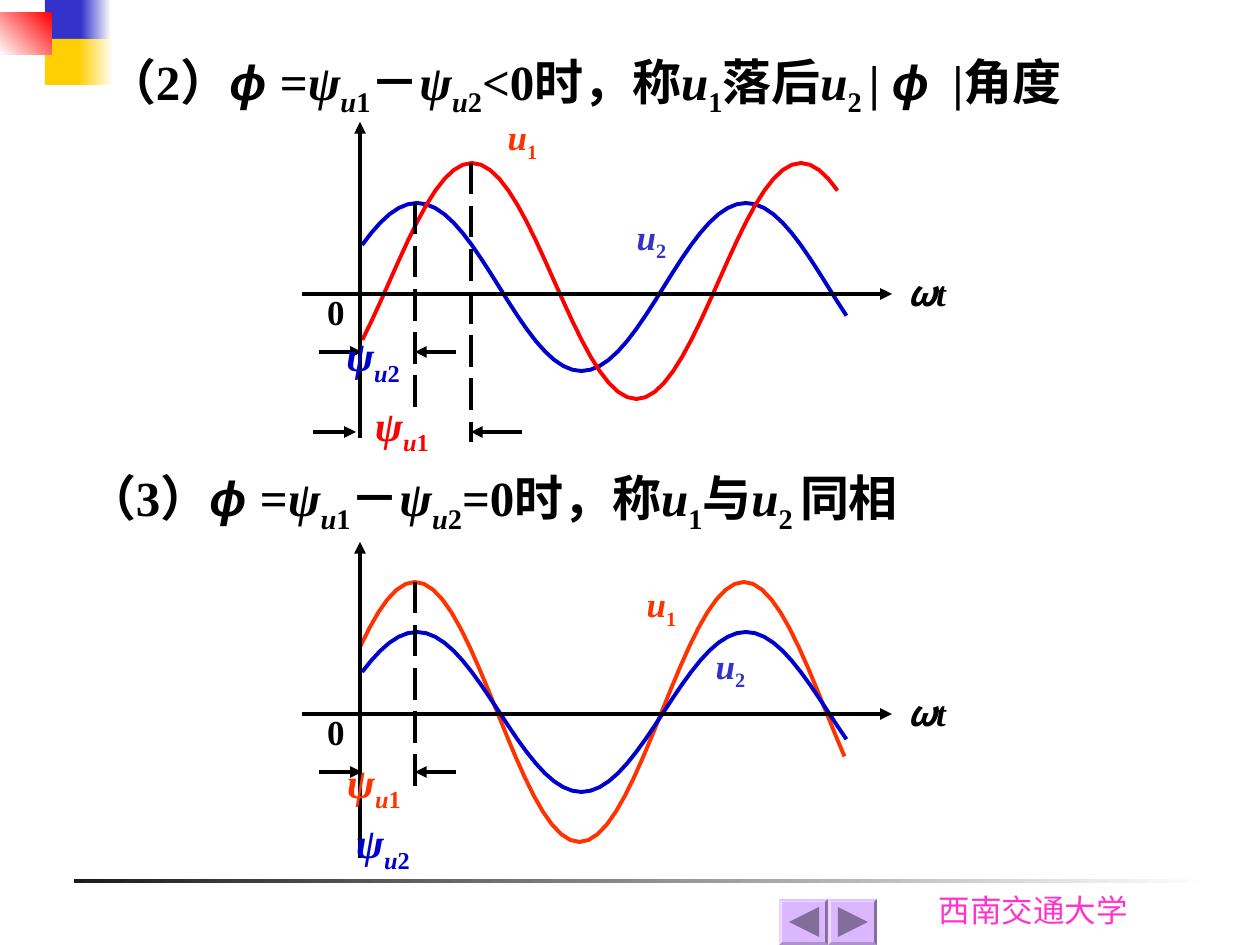
import math
from typing import NamedTuple, Optional

import pptx
import pptx.dml.color
import pptx.enum.dml
import pptx.enum.shapes
import pptx.enum.text
import pptx.oxml
import pptx.oxml.ns
import pptx.util

RGBColor = pptx.dml.color.RGBColor
MSO_SHAPE = pptx.enum.shapes.MSO_SHAPE
PP_ALIGN = pptx.enum.text.PP_ALIGN

PX = 914400 // 126
BLACK = RGBColor(0x00, 0x00, 0x00)
WHITE = RGBColor(0xFF, 0xFF, 0xFF)
CHARCOAL = RGBColor(0x1C, 0x1C, 0x1C)
RED = RGBColor(0xFF, 0x00, 0x00)
ORANGE = RGBColor(0xFF, 0x33, 0x00)
BLUE = RGBColor(0x00, 0x00, 0xCC)
INDIGO = RGBColor(0x33, 0x33, 0xCC)
YELLOW = RGBColor(0xFF, 0xCF, 0x01)
PINK = RGBColor(0xFF, 0x33, 0xCC)
LILAC = RGBColor(0xDB, 0xB7, 0xFF)
PLUM = RGBColor(0x83, 0x6E, 0x99)

SERIF = "Times New Roman"
CJK = "Noto Sans CJK SC"
PERIOD = 329  # px per full cycle
STEP = 10  # degrees between curve points
DIAGRAM_SHIFT = 420  # px from the first diagram to the second


class Box(NamedTuple):
    left: int
    top: int
    width: int
    height: int


class Run(NamedTuple):
    text: str
    italic: bool = False
    sub: bool = False
    font: str = SERIF
    bold: bool = True
    size: Optional[int] = None


class Wave(NamedTuple):
    color: RGBColor
    peak: int
    middle: int
    amplitude: int
    first_degree: int
    last_degree: int


class Segment(NamedTuple):
    x1: int
    y1: int
    x2: int
    y2: int
    arrow: bool = False
    dashed: bool = False


class Label(NamedTuple):
    box: Box
    runs: list[Run]
    color: RGBColor
    size: int = 20
    align: PP_ALIGN = PP_ALIGN.CENTER
    inset: tuple[int, int] = (1, 1)


def emu(*lengths: float) -> list[int]:
    return [round(length * PX) for length in lengths]


def voltage(index: str) -> list[Run]:
    return [Run("u", italic=True), Run(index, sub=True)]


def phase(index: str) -> list[Run]:
    return [Run("ψ", italic=True), Run("u", italic=True, sub=True), Run(index, sub=True)]


def condition(number: str, relation: str, link: str, ending: list[Run]) -> list[Run]:
    return [Run(f"（{number}）"), Run("ϕ ", italic=True, font="Arial"), Run("="),
            *phase("1"), Run("－"), *phase("2"), Run(f"{relation}0时，称"),
            *voltage("1"), Run(link), *voltage("2 "), *ending]


def fill_text(holder, label: Label) -> None:
    frame = holder.text_frame
    frame.word_wrap = True
    frame.auto_size = pptx.enum.text.MSO_AUTO_SIZE.NONE
    frame.vertical_anchor = pptx.enum.text.MSO_ANCHOR.TOP
    across, down = emu(*label.inset)
    frame.margin_left = frame.margin_right = across
    frame.margin_top = frame.margin_bottom = down
    paragraph = frame.paragraphs[0]
    paragraph.alignment = label.align
    for part in label.runs:
        run = paragraph.add_run()
        run.text = part.text
        font = run.font
        font.name, font.size = part.font, pptx.util.Pt(part.size or label.size)
        font.bold, font.italic = part.bold, part.italic
        font.color.rgb = label.color
        properties = run._r.get_or_add_rPr()
        if part.sub:
            properties.set("baseline", "-25000")
        east_asian = pptx.oxml.parse_xml(
            f'<a:ea {pptx.oxml.ns.nsdecls("a")} typeface="{CJK}"/>')
        properties.append(east_asian)


def add_label(slide, label: Label) -> None:
    fill_text(slide.shapes.add_textbox(*emu(*label.box)), label)


def add_block(slide, box: Box, color: RGBColor, end: Optional[RGBColor] = None,
              angle: int = 0, kind=MSO_SHAPE.RECTANGLE, rotation: int = 0):
    block = slide.shapes.add_shape(kind, *emu(*box))
    block.shadow.inherit = False
    block.line.fill.background()
    block.rotation = rotation
    if end is None:
        block.fill.solid()
        block.fill.fore_color.rgb = color
    else:
        block.fill.gradient()
        block.fill.gradient_angle = angle
        for stop, shade in zip(block.fill.gradient_stops, (color, end)):
            stop.color.rgb = shade
    return block


def add_segment(slide, segment: Segment, shift: int = 0) -> None:
    ends = emu(segment.x1, segment.y1 + shift, segment.x2, segment.y2 + shift)
    line = slide.shapes.add_connector(pptx.enum.shapes.MSO_CONNECTOR.STRAIGHT, *ends)
    line.line.color.rgb = BLACK
    line.line.width = pptx.util.Pt(2.25)
    if segment.dashed:
        line.line.dash_style = pptx.enum.dml.MSO_LINE.LONG_DASH
    namespace = pptx.oxml.ns.nsdecls("a")
    if segment.arrow:
        line.line._get_or_add_ln().append(
            pptx.oxml.parse_xml(f'<a:tailEnd {namespace} type="triangle"/>'))
    line._element.spPr.append(pptx.oxml.parse_xml(f"<a:effectLst {namespace}/>"))


def add_wave(slide, wave: Wave) -> None:
    points = [emu(wave.peak + PERIOD * degree / 360,
                  wave.middle - wave.amplitude * math.cos(math.radians(degree)))
              for degree in range(wave.first_degree, wave.last_degree + 1, STEP)]
    builder = slide.shapes.build_freeform(*points[0])
    builder.add_line_segments(points[1:], close=False)
    curve = builder.convert_to_shape()
    curve.shadow.inherit = False
    curve.fill.background()
    curve.line.color.rgb = wave.color
    curve.line.width = pptx.util.Pt(2.25)


def add_axes(slide, shift: int) -> None:
    for segment in (Segment(302, 294, 892, 294, arrow=True),
                    Segment(360, 438, 360, 122, arrow=True),
                    Segment(319, 352, 362, 352, arrow=True),
                    Segment(456, 352, 415, 352, arrow=True)):
        add_segment(slide, segment, shift)
    add_label(slide, Label(Box(304, 290 + shift, 64, 40), [Run("0")], BLACK))
    add_label(slide, Label(Box(900, 271 + shift, 53, 73),
                           [Run("ω", italic=True, font=CJK), Run("t", italic=True)], BLACK))


def phase_label(left: int, top: int, index: str, color: RGBColor) -> Label:
    return Label(Box(left, top, 118, 71), phase(index), color, 24, PP_ALIGN.LEFT, (13, 6))


def heading(box: Box, runs: list[Run]) -> Label:
    return Label(box, runs, BLACK, 28, PP_ALIGN.JUSTIFY, (13, 6))


def main() -> None:
    deck = pptx.Presentation()
    deck.slide_width, deck.slide_height = emu(1260, 945)
    slide = deck.slides.add_slide(deck.slide_layouts[5])

    # Corner blocks, footer rule and school name
    add_block(slide, Box(74, 879, 1134, 4), CHARCOAL, WHITE)
    add_block(slide, Box(45, 0, 40, 47), INDIGO)
    add_block(slide, Box(81, 0, 30, 47), INDIGO, WHITE)
    add_block(slide, Box(45, 39, 39, 46), YELLOW)
    add_block(slide, Box(79, 39, 34, 46), YELLOW, WHITE)
    add_block(slide, Box(0, 13, 52, 42), WHITE, RED, angle=45)
    add_label(slide, Label(Box(926, 885, 228, 50),
                           [Run("西南交通大学", font="Cabin", bold=False)],
                           PINK, 18, PP_ALIGN.LEFT, (13, 6)))

    # Back and forward buttons
    for left, rotation in ((779, 270), (828, 90)):
        button = add_block(slide, Box(left, 899, 49, 46), LILAC, kind=MSO_SHAPE.BEVEL)
        button.adjustments[0] = 0.06
        add_block(slide, Box(left + 10, 907, 30, 30), PLUM,
                  kind=MSO_SHAPE.ISOSCELES_TRIANGLE, rotation=rotation)

    # Curves, axes and phase marks
    for wave in (Wave(BLUE, 417, 287, 84, -60, 470), Wave(RED, 472, 281, 118, -120, 400),
                 Wave(ORANGE, 415, 712, 130, -60, 470), Wave(BLUE, 417, 712, 80, -60, 470)):
        add_wave(slide, wave)
    for shift in (0, DIAGRAM_SHIFT):
        add_axes(slide, shift)
    for segment in (Segment(471, 163, 471, 442, dashed=True),
                    Segment(415, 203, 415, 418, dashed=True),
                    Segment(415, 582, 415, 790, dashed=True),
                    Segment(313, 432, 356, 432, arrow=True),
                    Segment(522, 432, 471, 432, arrow=True)):
        add_segment(slide, segment)

    # Curve names and initial phases
    for label in (Label(Box(481, 115, 83, 62), voltage("1"), ORANGE),
                  Label(Box(610, 214, 83, 54), voltage("2"), INDIGO),
                  Label(Box(620, 582, 83, 62), voltage("1"), ORANGE),
                  Label(Box(689, 643, 83, 54), voltage("2"), INDIGO),
                  phase_label(333, 324, "2", BLUE), phase_label(362, 393, "1", RED),
                  phase_label(334, 750, "1", ORANGE), phase_label(343, 811, "2", BLUE)):
        add_label(slide, label)

    # Headings of the two cases
    lagging = condition("2", "<", "落后", [
        Run("| "), Run("ϕ", italic=True, font="Arial"),
        Run(" ", bold=False, size=54), Run("|角度")])
    title = slide.shapes.title
    title_box = Box(94, 0, 1042, 185)
    title.left, title.top, title.width, title.height = emu(*title_box)
    fill_text(title, heading(title_box, lagging))
    in_phase = condition("3", "=", "与", [Run("同相")])
    add_label(slide, heading(Box(74, 462, 1042, 79), in_phase))

    deck.save("out.pptx")


if __name__ == "__main__":
    main()
